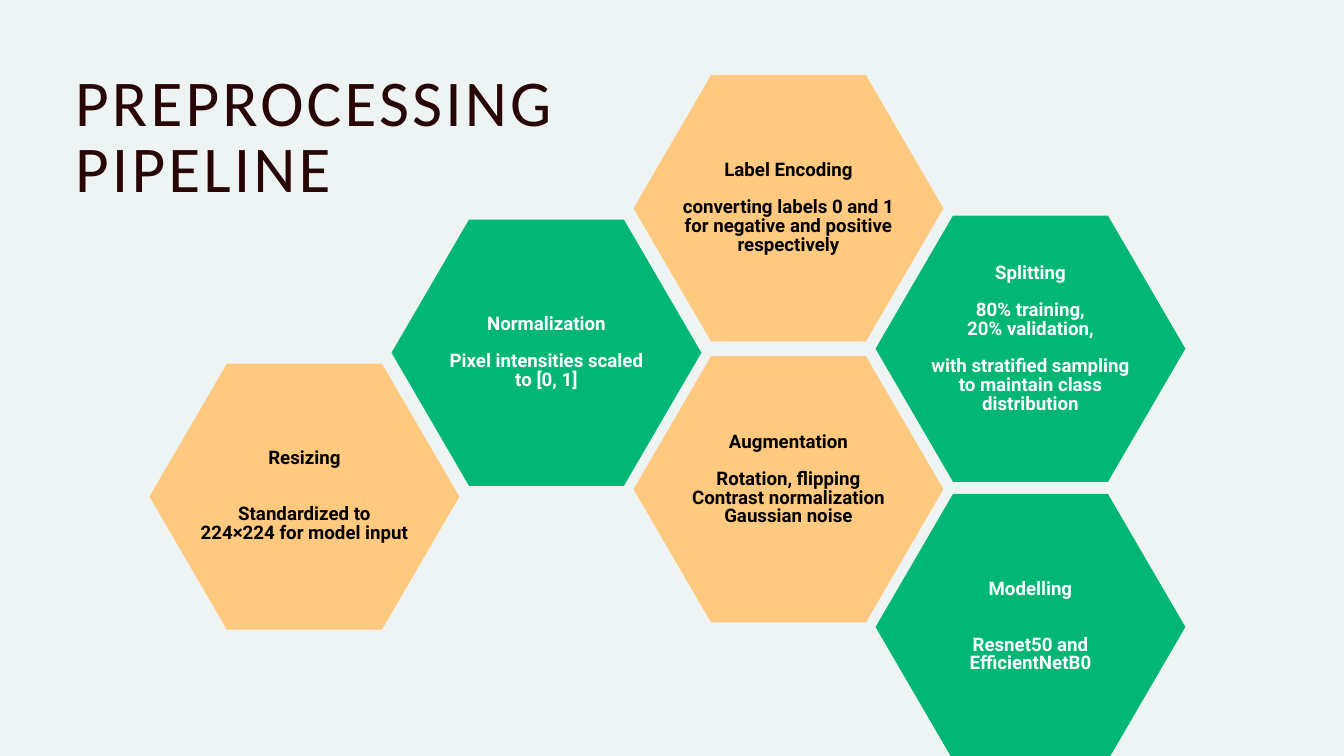
from pptx import Presentation
from pptx.dml.color import RGBColor
from pptx.enum.text import MSO_ANCHOR, PP_ALIGN
from pptx.util import Pt

CENTER, LEFT = PP_ALIGN.CENTER, PP_ALIGN.LEFT
MIDDLE, TOP = MSO_ANCHOR.MIDDLE, MSO_ANCHOR.TOP

PAPER = RGBColor(0xEE, 0xF4, 0xF3)
ORANGE = RGBColor(0xFF, 0xC9, 0x7F)
GREEN = RGBColor(0x02, 0xB6, 0x76)
BLACK = RGBColor(0, 0, 0)
WHITE = RGBColor(0xFF, 0xFF, 0xFF)
MAROON = RGBColor(0x29, 0x06, 0x06)

HEX_W, HEX_H, HEX_CUT = 332, 285.2, 83
FIRST_LEFT, COLUMN_STEP = 160.2, 259.3
SIDE_INSET, EDGE_INSET = 51.1, 4.3
LINE = 20

# column, top, fill, text colour, blank lines below, (text, lines before)
STEPS = [
    (2, 80.6, ORANGE, BLACK, 0, [
        ("Label Encoding", 0),
        ("converting labels 0 and 1 for negative and positive respectively", 1)]),
    (2, 381.6, ORANGE, BLACK, 1, [
        ("Augmentation", 0),
        ("Rotation, flipping", 1),
        ("Contrast normalization", 0),
        ("Gaussian noise", 0)]),
    (1, 235.3, GREEN, WHITE, 0, [
        ("Normalization", 0),
        ("Pixel intensities scaled to [0, 1]", 1)]),
    (3, 231, GREEN, WHITE, 1, [
        ("Splitting", 0),
        ("80% training,", 1),
        ("20% validation,", 0),
        ("with stratified sampling to maintain class distribution", 1)]),
    (3, 529.2, GREEN, WHITE, 0, [
        ("Modelling", 0),
        ("Resnet50 and", 2),
        ("EfficientNetB0", 0)]),
    (0, 389.5, ORANGE, BLACK, 0, [
        ("Resizing", 0),
        ("Standardized to\v224×224 for model input", 2)]),
]


def set_frame(tf, anchor, left=0, top=0, right=0, bottom=0):
    tf.word_wrap = True
    tf.vertical_anchor = anchor
    tf.margin_left, tf.margin_top = Pt(left), Pt(top)
    tf.margin_right, tf.margin_bottom = Pt(right), Pt(bottom)


def write(p, text, *, font, size, color, bold=False, align=LEFT, before=0,
          spacing=0):
    p.text = text
    p.alignment = align
    p.line_spacing = Pt(size)
    if before:
        p.space_before = Pt(before)
    for r in p.runs:
        r.font.name = font
        r.font.size = Pt(size)
        r.font.bold = bold
        r.font.color.rgb = color
        if spacing:
            r.font._element.set("spc", str(round(spacing * 100)))


def add_hexagon(s, left, top, fill):
    right, bottom, middle = left + HEX_W, top + HEX_H, top + HEX_H / 2
    corners = [(right - HEX_CUT, bottom), (left + HEX_CUT, bottom),
               (left, middle), (left + HEX_CUT, top), (right - HEX_CUT, top)]
    outline = s.shapes.build_freeform(Pt(right), Pt(middle))
    outline.add_line_segments([(Pt(x), Pt(y)) for x, y in corners], close=True)
    sp = outline.convert_to_shape()
    sp.shadow.inherit = False
    sp.fill.solid()
    sp.fill.fore_color.rgb = fill
    sp.line.fill.background()
    return sp


def add_step(s, column, top, fill, color, blank_below, lines):
    sp = add_hexagon(s, FIRST_LEFT + column * COLUMN_STEP, top, fill)
    tf = sp.text_frame
    set_frame(tf, MIDDLE, SIDE_INSET, EDGE_INSET, SIDE_INSET,
              EDGE_INSET + blank_below * LINE)
    for i, (text, gap) in enumerate(lines):
        p = tf.add_paragraph() if i else tf.paragraphs[0]
        write(p, text, font="Roboto", size=LINE, color=color, bold=True,
              align=CENTER, before=gap * LINE)


def add_title(s, text):
    tf = s.shapes.add_textbox(Pt(80.6), Pt(80), Pt(639.4), Pt(154)).text_frame
    set_frame(tf, TOP)
    write(tf.paragraphs[0], text, font="Calibri", size=70, color=MAROON,
          spacing=3.4)


def main():
    prs = Presentation()
    prs.slide_width, prs.slide_height = Pt(1440), Pt(810)
    s = prs.slides.add_slide(prs.slide_layouts[6])
    s.background.fill.solid()
    s.background.fill.fore_color.rgb = PAPER
    for step in STEPS:
        add_step(s, *step)
    add_title(s, "PREPROCESSING PIPELINE")
    prs.save("out.pptx")


if __name__ == "__main__":
    main()
